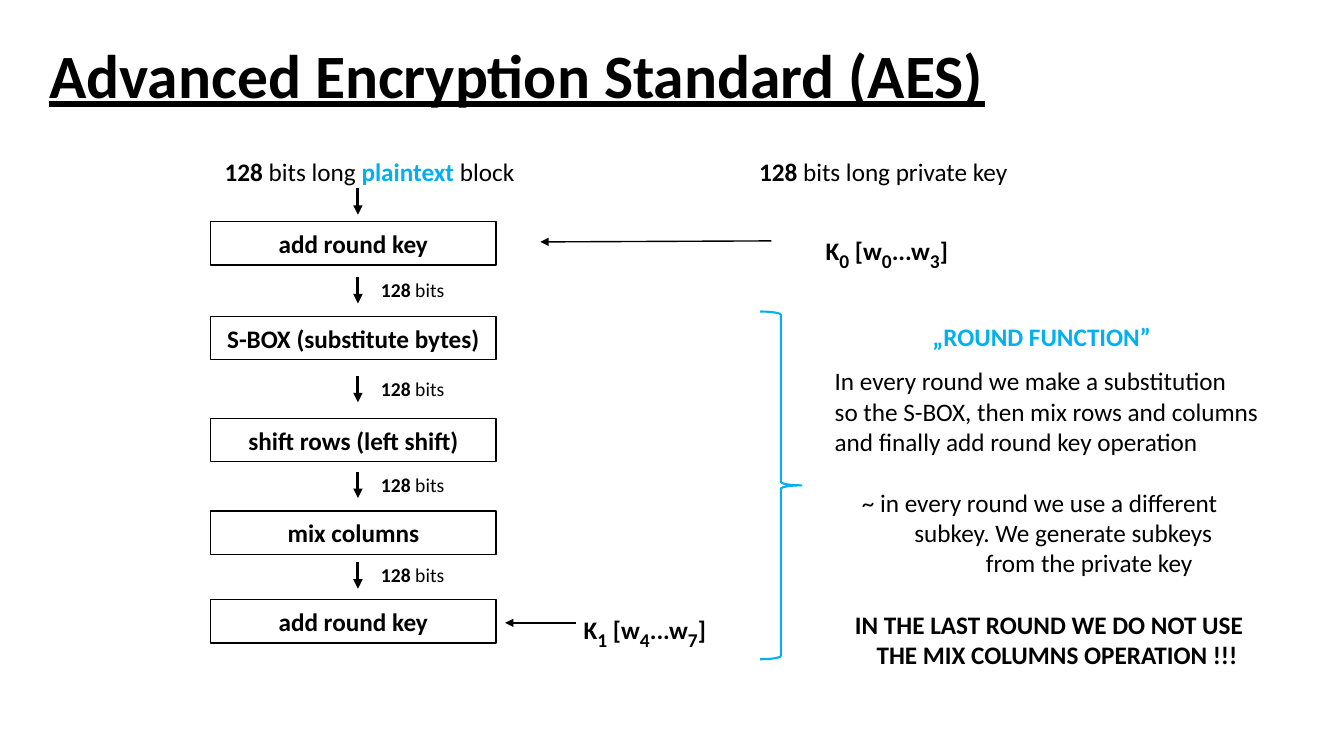
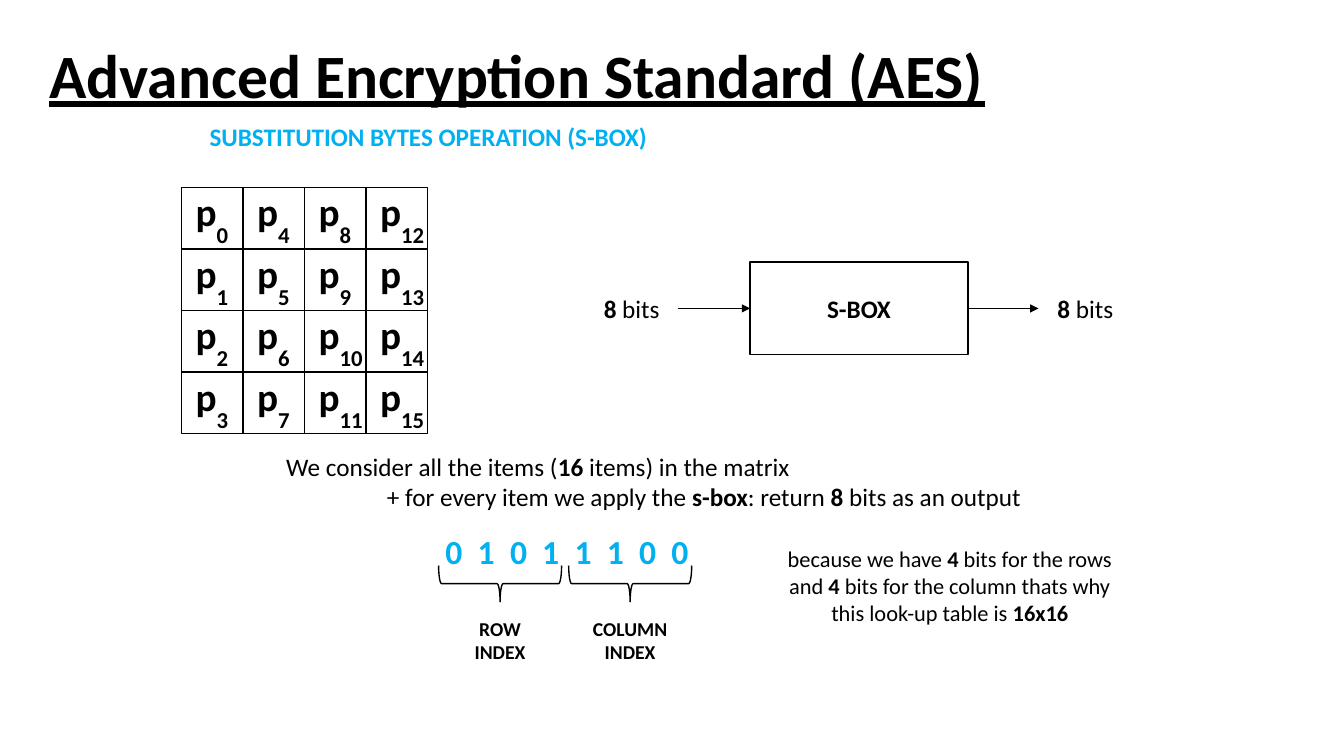
import lxml.etree
import pptx
import pptx.dml.color
import pptx.enum.shapes
import pptx.enum.text
import pptx.oxml.ns
import pptx.util

Inches = pptx.util.Inches
Pt = pptx.util.Pt
qn = pptx.oxml.ns.qn
color = pptx.dml.color.RGBColor.from_string
LEFT = pptx.enum.text.PP_ALIGN.LEFT
CENTER = pptx.enum.text.PP_ALIGN.CENTER
MIDDLE = pptx.enum.text.MSO_ANCHOR.MIDDLE
SHAPES = pptx.enum.shapes.MSO_SHAPE
STRAIGHT = pptx.enum.shapes.MSO_CONNECTOR.STRAIGHT

FONT = "Calibri"
BLACK, WHITE, BLUE = "000000", "FFFFFF", "00B0F0"


def write_text(shape, lines, size=18, bold=False, ink=BLACK, align=LEFT, subscript=None):
    """Text between bars is bold, or lowered if subscript gives (size, baseline)."""
    frame = shape.text_frame
    frame.word_wrap = True
    for number, line in enumerate(lines):
        paragraph = frame.paragraphs[0] if number == 0 else frame.add_paragraph()
        paragraph.alignment = align
        paragraph.font.name = FONT
        paragraph.font.size = Pt(size)
        paragraph.font.bold = bold
        paragraph.font.color.rgb = color(ink)
        for position, part in enumerate(line.split("|")):
            if not part:
                continue
            run = paragraph.add_run()
            run.text = part
            if position % 2 and subscript:
                run.font.size = Pt(subscript[0])
                run.font.bold = bold
                run.font._element.set("baseline", str(subscript[1] * 1000))
            elif position % 2:
                run.font.bold = True
    return frame


def add_outline(slide, kind, box, ink=BLACK, width=1, fill=None):
    shape = slide.shapes.add_shape(kind, *map(Inches, box))
    shape.shadow.inherit = False
    shape.line.color.rgb = color(ink)
    shape.line.width = Pt(width)
    if fill:
        shape.fill.solid()
        shape.fill.fore_color.rgb = color(fill)
    else:
        shape.fill.background()
    return shape


presentation = pptx.Presentation()
presentation.slide_width = Inches(13.33)
presentation.slide_height = Inches(7.5)
arrows = []  # slide, start, end, width, joined start, joined end

# Shared title
title_layout = presentation.slide_layouts[5]
rounds_slide = presentation.slides.add_slide(title_layout)
sbox_slide = presentation.slides.add_slide(title_layout)
for slide in (rounds_slide, sbox_slide):
    title = slide.shapes.title
    title.left, title.top, title.width, title.height = map(Inches, (0.39, 0.05, 11.5, 1.45))
    frame = write_text(title, ["Advanced Encryption Standard (AES)"], 44, True)
    frame.vertical_anchor = MIDDLE
    frame.paragraphs[0].font.underline = True
    frame.paragraphs[0].line_spacing = 0.9

# Slide 1: steps of the cipher
steps = [
    (2.2, "add round key"),
    (3.14, "S-BOX (substitute bytes)"),
    (4.15, "shift rows (left shift)"),
    (5.07, "mix columns"),
    (5.95, "add round key"),
]
for top, label in steps:
    step = add_outline(rounds_slide, SHAPES.RECTANGLE, (2.09, top, 2.83, 0.43), fill=WHITE)
    write_text(step, [label], bold=True, align=CENTER).vertical_anchor = MIDDLE

# Slide 1: arrows between the steps, with their widths in bits
for number, top in enumerate((1.87, 2.75, 3.73, 4.68, 5.58)):
    arrows.append((rounds_slide, (3.55, top), (3.55, top + 0.26), 2.25, None, None))
    if number:
        label = rounds_slide.shapes.add_textbox(*map(Inches, (3.68, top - 0.04, 1, 0.34)))
        write_text(label, ["|128| bits"], 14)

# Slide 1: input block and keys
block = rounds_slide.shapes.add_textbox(*map(Inches, (2.13, 1.5, 3.4, 0.4)))
frame = write_text(block, ["|128| bits long |plaintext| block"])
frame.paragraphs[0].runs[2].font.color.rgb = color(BLUE)
private_key = rounds_slide.shapes.add_textbox(*map(Inches, (7.43, 1.5, 3, 0.4)))
write_text(private_key, ["|128| bits long private key"])
for left, top, key in ((8.09, 2.2, "K|0| [w|0|...w|3|]"), (5.69, 5.96, "K|1| [w|4|...w|7|]")):
    subkey = rounds_slide.shapes.add_textbox(*map(Inches, (left, top, 1.7, 0.4)))
    write_text(subkey, [key], bold=True, subscript=(24, -25))
arrows.append((rounds_slide, (7.65, 2.39), (5.36, 2.4), 1, None, None))
arrows.append((rounds_slide, (5.71, 6.18), (5.01, 6.18), 1, None, None))

# Slide 1: round function
add_outline(rounds_slide, SHAPES.RIGHT_BRACE, (7.54, 3.09, 0.41, 3.45), BLUE, 1.5)
heading = rounds_slide.shapes.add_textbox(*map(Inches, (9.15, 3.14, 2.6, 0.4)))
write_text(heading, ["„ROUND FUNCTION”"], bold=True, ink=BLUE)
explanation = rounds_slide.shapes.add_textbox(*map(Inches, (8.18, 3.58, 4.45, 3.13)))
frame = write_text(explanation, [
    "In every round we make a substitution",
    "so the S-BOX, then mix rows and columns",
    "and finally add round key operation",
    "~ in every round we use a different",
    "subkey. We generate subkeys",
    "from the private key",
    "IN THE LAST ROUND WE DO NOT USE",
    "THE MIX COLUMNS OPERATION !!!",
])
for paragraph, indent in zip(frame.paragraphs, (0, 0, 0, 0.27, 0.79, 1.5, 0, 0.16)):
    paragraph._p.get_or_add_pPr().set("marL", str(Inches(indent)))
for number in (3, 6):
    frame.paragraphs[number].space_before = Pt(22)
for paragraph in frame.paragraphs[6:]:
    paragraph.alignment = CENTER
    paragraph.font.bold = True

# Slide 2: byte matrix, filled column by column
cell_size = 0.61
for index in range(16):
    column, row = divmod(index, 4)
    box = (1.8 + column * cell_size, 1.86 + row * cell_size, cell_size, cell_size)
    cell = add_outline(sbox_slide, SHAPES.RECTANGLE, box, fill=WHITE)
    frame = write_text(cell, [f"p|{index}|"], 28, True, subscript=(28, -44))
    frame.word_wrap = False
    frame.vertical_anchor = pptx.enum.text.MSO_ANCHOR.TOP
    frame.margin_left = Inches(0.14)
    frame.margin_right = frame.margin_top = frame.margin_bottom = 0

# Slide 2: S-BOX with input and output
sbox = add_outline(sbox_slide, SHAPES.RECTANGLE, (7.44, 2.6, 2.16, 0.92), fill=WHITE)
write_text(sbox, ["S-BOX"], bold=True, align=CENTER).vertical_anchor = MIDDLE
arrows.append((sbox_slide, (6.72, 3.06), (7.44, 3.06), 0.5, None, (sbox, 1)))
arrows.append((sbox_slide, (9.6, 3.06), (10.3, 3.06), 0.5, (sbox, 3), None))

# Slide 2: texts
sbox_texts = [
    ((1.98, 1.15, 4.8, 0.4), ["SUBSTITUTION BYTES OPERATION (S-BOX)"], 18, True, BLUE, LEFT),
    ((5.89, 2.86, 0.9, 0.4), ["|8| bits"], 18, False, BLACK, LEFT),
    ((10.39, 2.86, 0.9, 0.4), ["|8| bits"], 18, False, BLACK, LEFT),
    ((4.46, 6.07, 1, 0.57), ["ROW", "INDEX"], 14, True, BLACK, CENTER),
    ((5.65, 6.07, 1.2, 0.57), ["COLUMN", "INDEX"], 14, True, BLACK, CENTER),
    ((7.52, 5.36, 3.8, 0.94), [
        "because we have |4| bits for the rows",
        "and |4| bits for the column thats why",
        "this look-up table is |16x16|",
    ], 16, False, BLACK, CENTER),
]
for box, lines, size, bold, ink, align in sbox_texts:
    write_text(sbox_slide.shapes.add_textbox(*map(Inches, box)), lines, size, bold, ink, align)

summary = sbox_slide.shapes.add_textbox(*map(Inches, (2.74, 4.43, 7.8, 0.71)))
frame = write_text(summary, [
    "We consider all the items (|16| items) in the matrix",
    "+ for every item we apply the |s-box|: return |8| bits as an output",
])
frame.paragraphs[1]._p.get_or_add_pPr().set("marL", str(Inches(1)))

# Slide 2: input bits on even tab stops, split into row and column index
bits = sbox_slide.shapes.add_textbox(*map(Inches, (4.32, 5.22, 2.8, 0.5)))
frame = write_text(bits, ["\t".join("01011100")], 24, True, BLUE)
tab_list = lxml.etree.Element(qn("a:tabLst"))
for number in range(1, 8):
    tab = lxml.etree.SubElement(tab_list, qn("a:tab"))
    tab.set("pos", str(Inches(0.32 * number)))
    tab.set("algn", "l")
frame.paragraphs[0]._p.get_or_add_pPr().insert(0, tab_list)
for left in (4.78, 6.07):
    add_outline(sbox_slide, SHAPES.LEFT_BRACE, (left, 5.18, 0.36, 1.22)).rotation = 270

# Arrows of both slides
for slide, start, end, width, joined_start, joined_end in arrows:
    arrow = slide.shapes.add_connector(STRAIGHT, *map(Inches, start + end))
    if joined_start:
        arrow.begin_connect(*joined_start)
    if joined_end:
        arrow.end_connect(*joined_end)
    arrow.line.color.rgb = color(BLACK)
    arrow.line.width = Pt(width)
    properties = arrow._element.spPr
    lxml.etree.SubElement(properties.find(qn("a:ln")), qn("a:tailEnd")).set("type", "triangle")
    lxml.etree.SubElement(properties, qn("a:effectLst"))

presentation.save("out.pptx")
